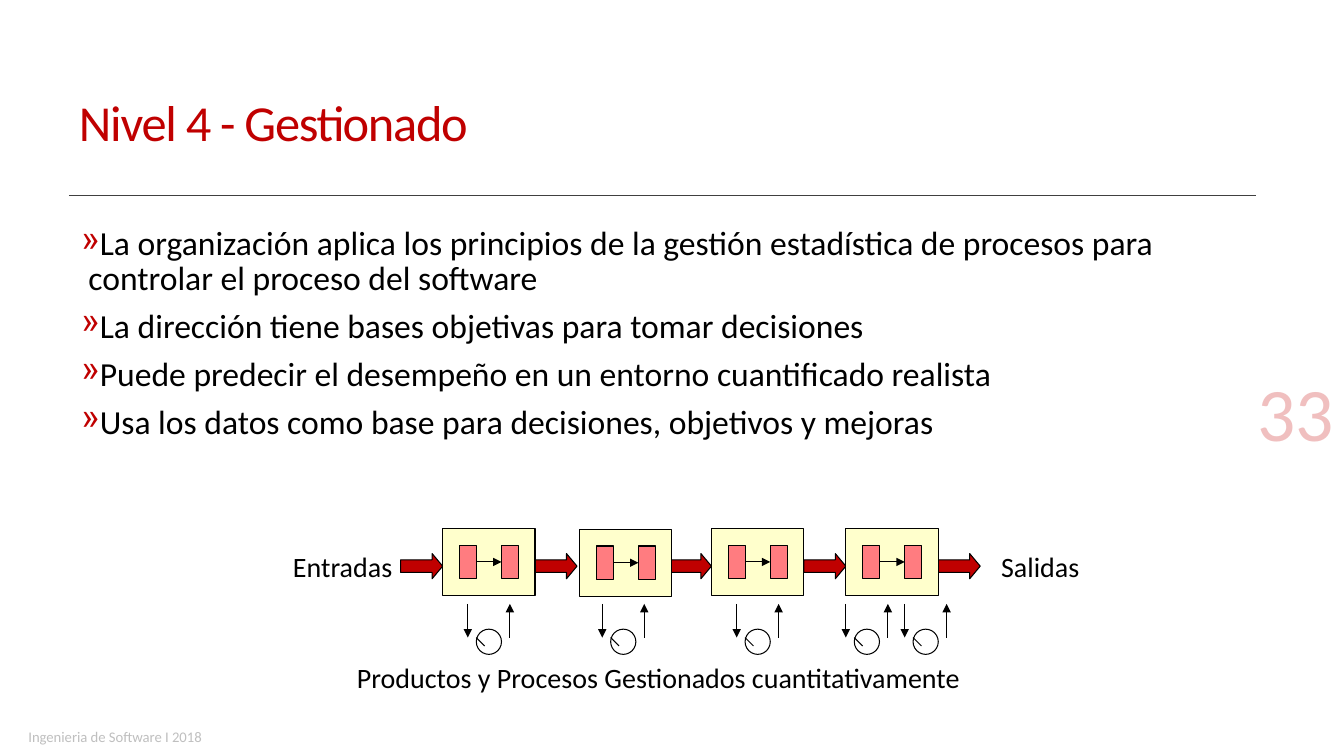
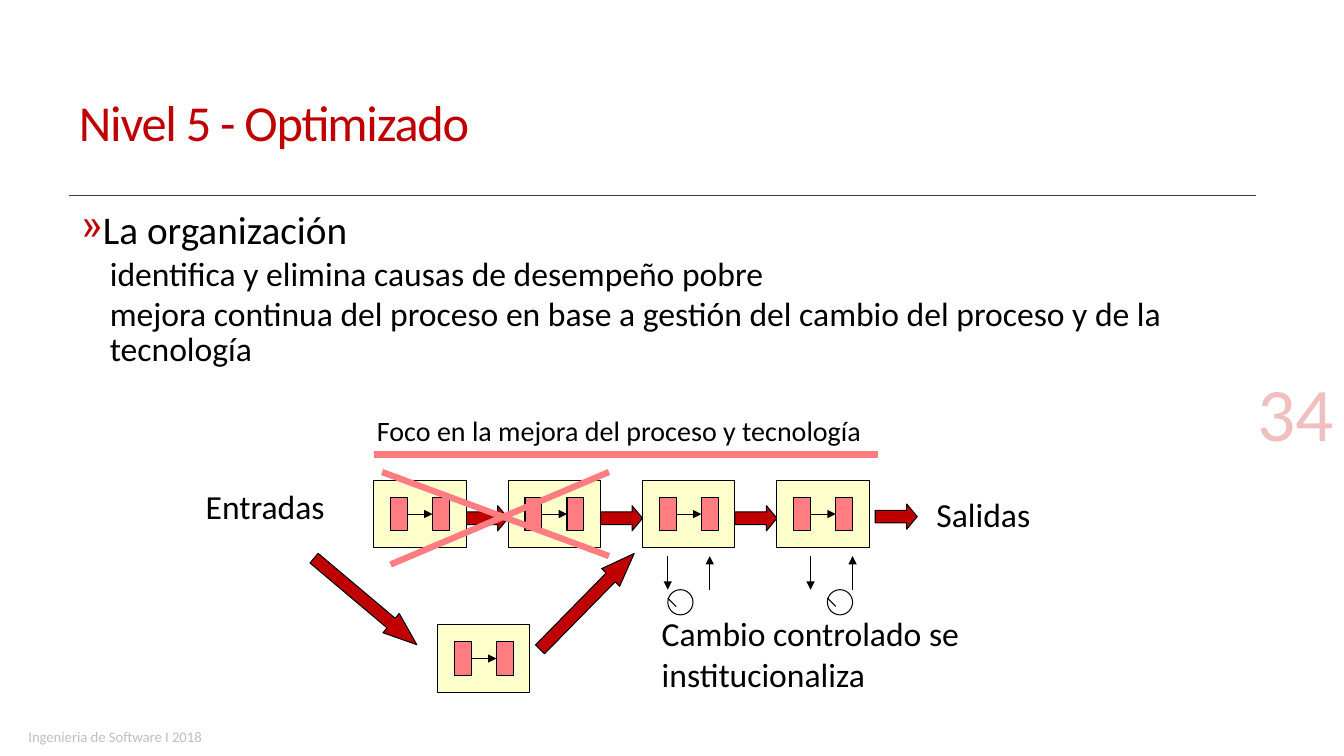
import dataclasses

import lxml.etree
import pptx
import pptx.dml.color
import pptx.enum.shapes
import pptx.enum.text
import pptx.oxml.ns
import pptx.util

SHAPE = pptx.enum.shapes.MSO_SHAPE
ALIGN = pptx.enum.text.PP_ALIGN
ANCHOR = pptx.enum.text.MSO_ANCHOR
COLS, ROWS = 160, 90
PITCH = 16


@dataclasses.dataclass(frozen=True)
class Theme:
    font: str = "Calibri"
    red: str = "C00000"
    pale: str = "F0BFBF"
    pink: str = "FF7C80"
    cream: str = "FFFFCC"
    ink: str = "000000"
    rule: str = "404040"
    gray: str = "BFBFBF"
    title: float = 36
    number: float = 54
    lead: float = 28
    body: float = 24
    label: float = 20
    foot: float = 10.5
    thin: float = 0.75
    thick: float = 4.5
    tight: float = 0.85


T = Theme()


def unit(n):
    return pptx.util.Inches(n / 12)


def rgb(hue):
    return pptx.dml.color.RGBColor.from_string(hue)


def sub(node, tag, **attrs):
    return lxml.etree.SubElement(node, pptx.oxml.ns.qn(tag), attrs)


def style(para, size, hue):
    for run in para.runs:
        run.font.name = T.font
        run.font.size = pptx.util.Pt(size)
        run.font.color.rgb = rgb(hue)


def label(slide, text, box, size, hue=T.ink, align=ALIGN.LEFT, anchor=ANCHOR.TOP):
    frame = slide.shapes.add_textbox(*map(unit, box)).text_frame
    frame.word_wrap = True
    frame.vertical_anchor = anchor
    frame.text = text
    para = frame.paragraphs[0]
    para.alignment = align
    style(para, size, hue)


def line(slide, start, end, hue=T.ink, width=T.thin, tip=False):
    link = slide.shapes.add_connector(
        pptx.enum.shapes.MSO_CONNECTOR.STRAIGHT, *map(unit, (*start, *end)))
    link.line.color.rgb = rgb(hue)
    link.line.width = pptx.util.Pt(width)
    if tip:
        sub(link.line._get_or_add_ln(), "a:tailEnd", type="triangle")
    sub(link._element.spPr, "a:effectLst")


def solid(slide, kind, box, hue=None):
    shape = slide.shapes.add_shape(kind, *map(unit, box))
    shape.shadow.inherit = False
    if hue:
        shape.fill.solid()
        shape.fill.fore_color.rgb = rgb(hue)
    else:
        shape.fill.background()
    shape.line.color.rgb = rgb(T.ink)
    shape.line.width = pptx.util.Pt(T.thin)
    return shape


def arrow(slide, x, y, wide=5, turn=0):
    high = 3
    shape = solid(slide, SHAPE.RIGHT_ARROW, (x, y, wide, high), T.red)
    shape.adjustments[1] = wide / 4 / high
    shape.rotation = turn


def stage(slide, x, y):
    solid(slide, SHAPE.RECTANGLE, (x, y, 11, 8), T.cream)
    for col in (2, 7):
        solid(slide, SHAPE.RECTANGLE, (x + col, y + 2, 2, 4), T.pink)
    line(slide, (x + 4, y + 4), (x + 7, y + 4), tip=True)


def gauge(slide, x, y, col=1, row=3):
    line(slide, (x, y), (x, y + 4), tip=True)
    line(slide, (x + 5, y + 4), (x + 5, y), tip=True)
    left, top = x + col, y + row
    solid(slide, SHAPE.OVAL, (left, top, 3, 3))
    line(slide, (left, top + 1), (left + 1, top + 2))


def points(slide, items, top):
    frame = slide.shapes.add_textbox(*map(unit, (8.5, top, 144, 85.6 - top))).text_frame
    frame.word_wrap = True
    for i, (text, size, sub_item) in enumerate(items):
        para = frame.paragraphs[0] if i == 0 else frame.add_paragraph()
        para.text = text
        props = para._p.get_or_add_pPr()
        if sub_item:
            props.set("marL", str(unit(3.4)))
            sub(props, "a:buNone")
        else:
            hang = unit(0.86)
            props.set("marL", str(hang))
            props.set("indent", str(-hang))
            sub(sub(props, "a:buClr"), "a:srgbClr", val=T.red)
            sub(props, "a:buChar", char="»")
        para.line_spacing = T.tight
        if i:
            para.space_before = pptx.util.Pt(4.5 if sub_item else 9.8)
        style(para, size, T.ink)


def base(deck, title, number):
    slide = deck.slides.add_slide(deck.slide_layouts[5])
    head = slide.shapes.title
    head.left, head.top, head.width, head.height = map(unit, (8.2, 6.6, 141.8, 16.7))
    frame = head.text_frame
    frame.text = title
    frame.auto_size = pptx.enum.text.MSO_AUTO_SIZE.NONE
    frame.vertical_anchor = ANCHOR.MIDDLE
    para = frame.paragraphs[0]
    para.alignment = ALIGN.LEFT
    para.line_spacing = T.tight
    style(para, T.title, T.red)
    para.runs[0]._r.get_or_add_rPr().set("spc", "-90")
    line(slide, (8.2, 23.3), (149.5, 23.3), T.rule)
    label(slide, str(number), (121.6, 36.5, 38.4, 18.4), T.number, T.pale,
          ALIGN.RIGHT, ANCHOR.BOTTOM)
    label(slide, "Ingenieria de Software I 2018", (2.2, 86.1, 28.3, 2.8), T.foot, T.gray)
    return slide


def managed(slide, x, y):
    label(slide, "Entradas", (x - 14, y - 1.1, 15.2, 5.2), T.label)
    label(slide, "Salidas", (x + 70.3, y - 1.1, 22, 5.2), T.label)
    label(slide, "Productos y Procesos Gestionados cuantitativamente",
          (x - 6.4, y + 12.2, 85, 5.3), T.label)
    for i in range(5):
        arrow(slide, x + i * PITCH, y)
    for col, row in ((5, -3), (21.3, -2.9), (37, -3), (53, -3)):
        stage(slide, x + col, y + row)
    for col in (8, 24, 40, 53, 60):
        gauge(slide, x + col, y + 6)


def tuned(slide, x, y):
    label(slide, "Entradas", (x - 21.2, y, 19, 6), T.body)
    label(slide, "Salidas", (x + 65.8, y + 1, 22, 6), T.body)
    label(slide, "Cambio controlado se institucionaliza",
          (x + 33.1, y + 15.2, 60, 11), T.body)
    label(slide, "Foco en la mejora del proceso y tecnología",
          (x - 0.8, y - 8.6, 72, 5.2), T.label)
    for i in range(3):
        arrow(slide, x + 11 + i * PITCH, y + 3)
    arrow(slide, x + 59.7, y + 2.8)
    for col, turn in ((-9, 40.1), (17.4, 314.5)):
        arrow(slide, x + col, y + 12.9, PITCH, turn)
    for i in range(4):
        stage(slide, x + i * PITCH, y)
    stage(slide, x + 7.6, y + 17.2)
    for start, end in (((1, -1), (28, 9)), ((2, 10), (28, -1)), ((0, -3.1), (60, -3.1))):
        line(slide, (x + start[0], y + start[1]), (x + end[0], y + end[1]),
             T.pink, T.thick)
    gauge(slide, x + 35, y + 9, 0, 4)
    gauge(slide, x + 52, y + 9, 2, 4)


def main():
    deck = pptx.Presentation()
    deck.slide_width, deck.slide_height = unit(COLS), unit(ROWS)

    slide = base(deck, "Nivel 4 - Gestionado", 33)
    texts = (
        "La organización aplica los principios de la gestión estadística de procesos "
        "para controlar el proceso del software",
        "La dirección tiene bases objetivas para tomar decisiones",
        "Puede predecir el desempeño en un entorno cuantificado realista",
        "Usa los datos como base para decisiones, objetivos y mejoras",
    )
    points(slide, [(text, T.body, False) for text in texts], 26.6)
    managed(slide, 47.7, 65.9)

    slide = base(deck, "Nivel 5 - Optimizado", 34)
    points(slide, [
        ("La organización", T.lead, False),
        ("identifica y elimina causas de desempeño pobre", T.body, True),
        ("mejora continua del proceso en base a gestión del cambio del proceso "
         "y de la tecnología", T.body, True),
    ], 24.7)
    tuned(slide, 44.5, 57.2)

    deck.save("out.pptx")


if __name__ == "__main__":
    main()
